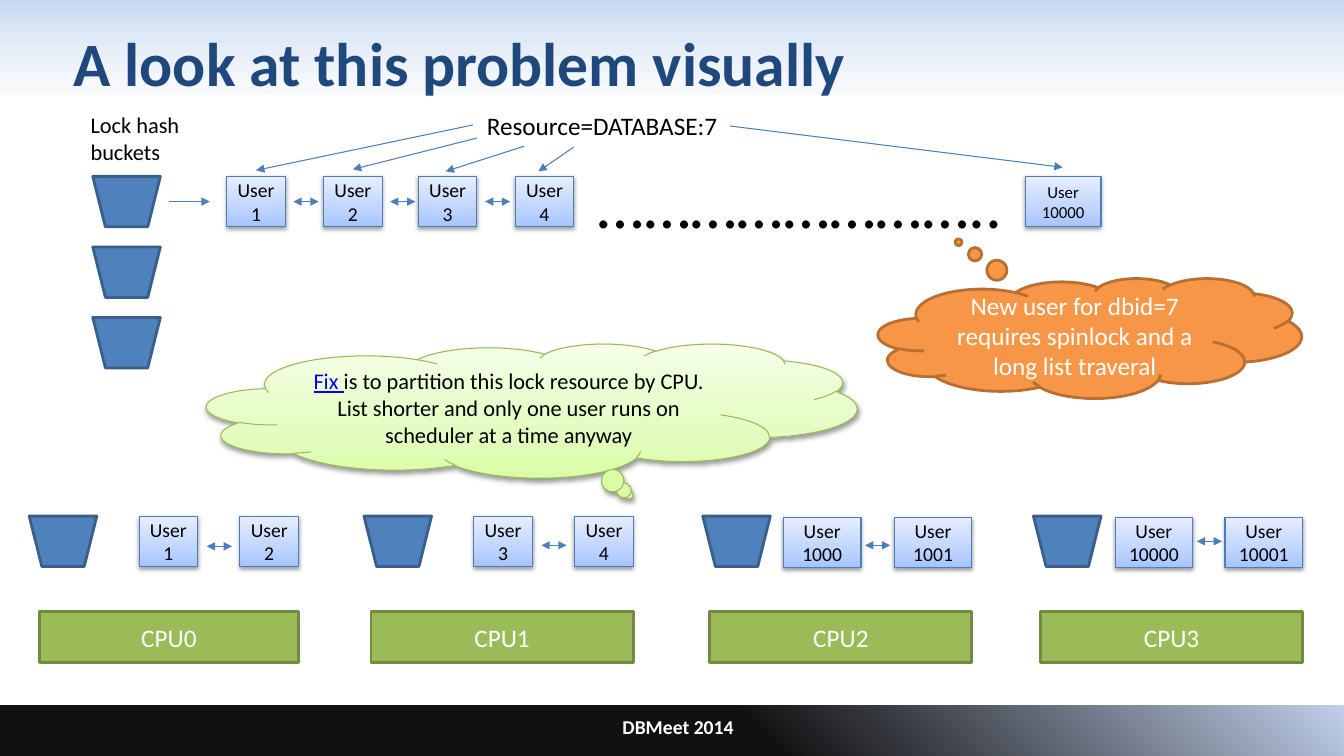
from lxml.etree import SubElement
from pptx import Presentation
from pptx.dml.color import RGBColor
from pptx.enum.shapes import MSO_CONNECTOR, MSO_SHAPE
from pptx.enum.text import MSO_ANCHOR, PP_ALIGN
from pptx.oxml.ns import qn
from pptx.util import Pt

PX = 9144
BLACK, WHITE = "000000", "FFFFFF"
LINE = "4B7EBC"
USER_STOPS = [(0, "A4C4FF", 100), (35, "BFD4FF", 100), (100, "E6EEFF", 100)]
FIX_STOPS = [(0, "DAFDA7", 100), (35, "E4FCC2", 100), (100, "F5FFE7", 100)]
TOP_STOPS = [(0, "C6D9F1", 100), (100, "E1E8F5", 16)]
FOOTER_STOPS = [(56, BLACK, 93), (100, "C2D1ED", 100)]
CENTER = PP_ALIGN.CENTER


def rgb(value):
    return RGBColor.from_string(value)


def px(*values):
    return [v * PX for v in values]


def style(r, size, color, bold=False):
    r.font.name = "Calibri"
    r.font.size = Pt(size)
    r.font.bold = bold
    r.font.color.rgb = rgb(color)


def write(sp, text, size, color, align=PP_ALIGN.LEFT, anchor=MSO_ANCHOR.MIDDLE,
          bold=False, wrap=True):
    tf = sp.text_frame
    tf.text = text
    tf.word_wrap = wrap
    tf.vertical_anchor = anchor
    for p in tf.paragraphs:
        p.alignment = align
        for r in p.runs:
            style(r, size, color, bold)


def add_label(s, box, text, size, **options):
    sp = s.shapes.add_textbox(*px(*box))
    write(sp, text, size, options.pop("color", BLACK), **options)


def add_shape(s, kind, box, line=None, width=2):
    sp = s.shapes.add_shape(kind, *px(*box))
    sp.shadow.inherit = False
    if line:
        sp.line.color.rgb = rgb(line)
        sp.line.width = Pt(width)
    else:
        sp.line.fill.background()
    return sp


def fill_solid(sp, color):
    sp.fill.solid()
    sp.fill.fore_color.rgb = rgb(color)


def fill_gradient(sp, stops, angle):
    sp.fill.gradient()
    sp.fill.gradient_angle = angle
    gs_list = sp.element.spPr.find(qn("a:gradFill")).find(qn("a:gsLst"))
    gs_list.clear()
    for pos, color, opacity in stops:
        gs = SubElement(gs_list, qn("a:gs"), pos=str(pos * 1000))
        clr = SubElement(gs, qn("a:srgbClr"), val=color)
        SubElement(clr, qn("a:alpha"), val=str(opacity * 1000))


def add_shadow(sp):
    effects = sp.element.spPr.find(qn("a:effectLst"))
    shadow = SubElement(effects, qn("a:outerShdw"), blurRad=str(Pt(3.1)),
                        dist=str(Pt(1.6)), dir="5400000", rotWithShape="0")
    clr = SubElement(shadow, qn("a:srgbClr"), val=BLACK)
    SubElement(clr, qn("a:alpha"), val="38000")


def add_band(s, y, h, stops, angle):
    fill_gradient(add_shape(s, MSO_SHAPE.RECTANGLE, (0, y, 1333, h)), stops, angle)


def add_title(s, text):
    sp = s.shapes.title
    sp.left, sp.top, sp.width, sp.height = px(63, -1, 1200, 125)
    write(sp, text, 44, "1F497D", bold=True)
    s.shapes.element.append(sp.element)


def add_bucket(s, x, y):
    sp = add_shape(s, MSO_SHAPE.TRAPEZOID, (x, y, 67, 50), "3A5F8C")
    sp.rotation = 180
    fill_solid(sp, "4F81BD")


def add_user(s, x, y, w, text, size=14):
    sp = add_shape(s, MSO_SHAPE.RECTANGLE, (x, y, w, 50), LINE, 0.75)
    fill_gradient(sp, USER_STOPS, 90)
    add_shadow(sp)
    write(sp, text, size, BLACK, CENTER)


def add_arrow(s, x1, y1, x2, y2, ends=("tailEnd",)):
    cx = s.shapes.add_connector(MSO_CONNECTOR.STRAIGHT, *px(x1, y1, x2, y2))
    cx.line.color.rgb = rgb(LINE)
    cx.line.width = Pt(0.75)
    spPr = cx.element.spPr
    for end in ends:
        SubElement(spPr.find(qn("a:ln")), qn("a:" + end), type="triangle")
    SubElement(spPr, qn("a:effectLst"))


def add_double_arrow(s, x, y):
    add_arrow(s, x, y, x + 25, y, ("headEnd", "tailEnd"))


def add_cloud(s, box, tail, line, width):
    sp = add_shape(s, MSO_SHAPE.CLOUD_CALLOUT, box, line, width)
    sp.adjustments[0], sp.adjustments[1] = tail
    return sp


def add_cpu(s, name, right, bar_w, user_w, user_y, pitch, users, arrow_y):
    bar = add_shape(s, MSO_SHAPE.RECTANGLE, (right - bar_w, 607, bar_w, 50), "738A42")
    fill_solid(bar, "9BBB59")
    write(bar, name, 18, WHITE, CENTER)
    add_bucket(s, right - 267, 512)
    second = right - user_w
    for x, user in zip((second - pitch, second), users):
        add_user(s, x, user_y, user_w, user)
    add_double_arrow(s, second - (pitch - user_w + 25) // 2, arrow_y)


def add_lock_list(s):
    for i in range(3):
        add_bucket(s, 92, 175 + 70 * i)
    add_label(s, (80, 105, 114, 64), "Lock hash\nbuckets", 16,
              anchor=MSO_ANCHOR.TOP, wrap=False)
    add_arrow(s, 168, 200, 208, 200)
    lefts = (225, 321, 415, 511)
    for i, x in enumerate(lefts, 1):
        add_user(s, x, 175, 58, f"User{i}")
    for x in lefts[:-1]:
        add_double_arrow(s, x + 66, 200)
    add_label(s, (583, 155, 433, 91), "……………………..", 48, anchor=MSO_ANCHOR.TOP)
    add_user(s, 1017, 175, 75, "User 10000", 12)
    add_label(s, (473, 105, 251, 40), "Resource=DATABASE:7", 18,
              anchor=MSO_ANCHOR.TOP, wrap=False)
    for ends in ((469, 124, 254, 169), (473, 137, 350, 168), (520, 145, 442, 170),
                 (569, 146, 534, 170), (724, 125, 1054, 166)):
        add_arrow(s, *ends)


def add_clouds(s):
    problem = add_cloud(s, (871, 276, 420, 119), (-0.31, -0.8), "B76F34", 2)
    fill_solid(problem, "F79646")
    write(problem, "New user for dbid=7 requires spinlock and a long list traveral",
          18, WHITE, CENTER)
    fix = add_cloud(s, (205, 341, 645, 133), (0.15, 0.63), "98B955", 0.75)
    fill_gradient(fix, FIX_STOPS, 90)
    add_shadow(fix)
    write(fix, "Fix ", 16, "0000FF", CENTER)
    p = fix.text_frame.paragraphs[0]
    p.runs[0].font.underline = True
    r = p.add_run()
    r.text = ("is to partition this lock resource by CPU. List shorter and only "
              "one user runs on scheduler at a time anyway")
    style(r, 16, BLACK)


def main():
    prs = Presentation()
    prs.slide_width, prs.slide_height = px(1333, 750)
    s = prs.slides.add_slide(prs.slide_layouts[5])
    add_band(s, 0, 94, TOP_STOPS, 270)
    add_band(s, 700, 51, FOOTER_STOPS, 45)
    add_title(s, "A look at this problem visually")
    add_label(s, (378, 700, 589, 42), "DBMeet 2014", 14, color=WHITE,
              align=CENTER, bold=True)
    add_lock_list(s)
    add_cpu(s, "CPU0", 296, 257, 58, 512, 100, ("User1", "User2"), 542)
    add_cpu(s, "CPU1", 628, 260, 58, 512, 100, ("User3", "User4"), 541)
    add_cpu(s, "CPU2", 964, 260, 77, 513, 110, ("User\n1000", "User\n1001"), 541)
    add_cpu(s, "CPU3", 1292, 260, 77, 513, 109, ("User\n10000", "User\n10001"), 537)
    add_clouds(s)
    prs.save("out.pptx")


if __name__ == "__main__":
    main()
